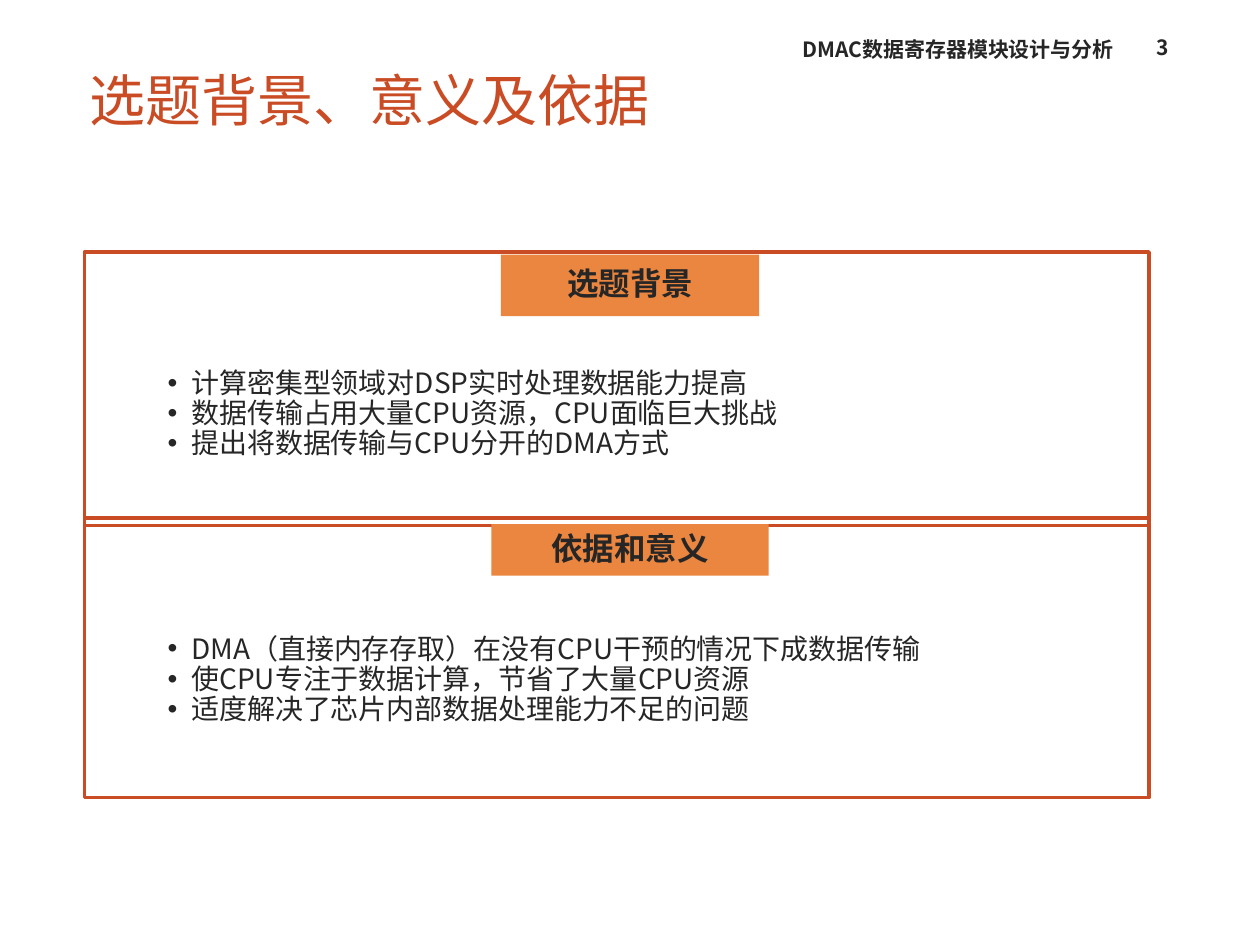
from lxml.etree import SubElement
from pptx import Presentation
from pptx.dml.color import RGBColor
from pptx.enum.shapes import MSO_SHAPE as SHAPE
from pptx.enum.text import MSO_ANCHOR as ANCHOR, PP_ALIGN as ALIGN
from pptx.oxml.ns import qn
from pptx.util import Inches, Pt

FONT = "Noto Sans CJK SC"
RUST, ORANGE, INK = "C94C25", "EA8640", "262626"
rgb = RGBColor.from_string

prs = Presentation()
prs.slide_width, prs.slide_height = Inches(10), Inches(7.5)
s = prs.slides.add_slide(prs.slide_layouts[6])


def add_box(x, y, w, h, fill=None, line=None):
    """Add a rectangle, filled or outlined."""
    sp = s.shapes.add_shape(SHAPE.RECTANGLE, *map(Inches, (x, y, w, h)))
    sp.shadow.inherit = False
    if fill:
        sp.fill.solid()
        sp.fill.fore_color.rgb = rgb(fill)
    else:
        sp.fill.background()
    if line:
        sp.line.color.rgb = rgb(line)
        sp.line.width = Pt(2)
    else:
        sp.line.fill.background()
    return sp


def write(sp, lines, size, color=INK, bold=False, anchor=ANCHOR.MIDDLE,
          align=ALIGN.CENTER, margins=(0.1, 0.05, 0.1, 0.05),
          spacing=None, indent=0, bullet=False):
    """Put one paragraph per line into the shape."""
    tf = sp.text_frame
    tf.word_wrap = True
    tf.vertical_anchor = anchor
    (tf.margin_left, tf.margin_top,
     tf.margin_right, tf.margin_bottom) = map(Inches, margins)
    for i, line in enumerate(lines):
        p = tf.add_paragraph() if i else tf.paragraphs[0]
        p.alignment = align
        if spacing:
            p.line_spacing = spacing
        pPr = p._p.get_or_add_pPr()
        if indent:
            pPr.set("marL", str(Inches(indent)))
            pPr.set("indent", str(Inches(-indent if bullet else 0)))
        if bullet:
            p.level = 1
            SubElement(pPr, qn("a:buFont"), typeface="Arial")
            SubElement(pPr, qn("a:buChar"), char="•")
        r = p.add_run()
        r.text = line
        r.font.size, r.font.bold, r.font.name = Pt(size), bold, FONT
        r.font.color.rgb = rgb(color)
        SubElement(r._r.get_or_add_rPr(), qn("a:ea"), typeface=FONT)


# Title
title = s.shapes.add_textbox(*map(Inches, (0.51, 0.42, 5.07, 0.74)))
write(title, ["选题背景、意义及依据"], 32, RUST, align=ALIGN.LEFT,
      margins=(0, 0.05, 0, 0.05), indent=0.2)

# Running header and page number
for x, y, w, text in [(8.95, 0.19, 0.55, "3"),
                      (6.22, 0.21, 2.77, "DMAC数据寄存器模块设计与分析")]:
    header = s.shapes.add_textbox(*map(Inches, (x, y, w, 0.33)))
    write(header, [text], 12, bold=True, anchor=ANCHOR.BOTTOM)

# Panels: top, height, label, label top, label size, bullets
panels = [
    (2, 2.17, "选题背景", 2.02, (2.05, 0.49),
     ["计算密集型领域对DSP实时处理数据能力提高",
      "数据传输占用大量CPU资源，CPU面临巨大挑战",
      "提出将数据传输与CPU分开的DMA方式"]),
    (4.11, 2.22, "依据和意义", 4.16, (2.2, 0.41),
     ["DMA（直接内存存取）在没有CPU干预的情况下成数据传输",
      "使CPU专注于数据计算，节省了大量CPU资源",
      "适度解决了芯片内部数据处理能力不足的问题"]),
]
for top, height, label, label_top, (label_w, label_h), bullets in panels:
    panel = add_box(0.67, top, 8.45, height, line=RUST)
    write(panel, bullets, 16, anchor=ANCHOR.TOP, align=ALIGN.LEFT,
          margins=(0.66, 0.93, 0.66, 0.12), spacing=0.9,
          indent=0.19, bullet=True)
    # Label centred on the slide
    tag = add_box((10 - label_w) / 2, label_top, label_w, label_h, fill=ORANGE)
    write(tag, [label], 18, bold=True, margins=(0.22, 0, 0.22, 0), spacing=0.9)

prs.save("out.pptx")
